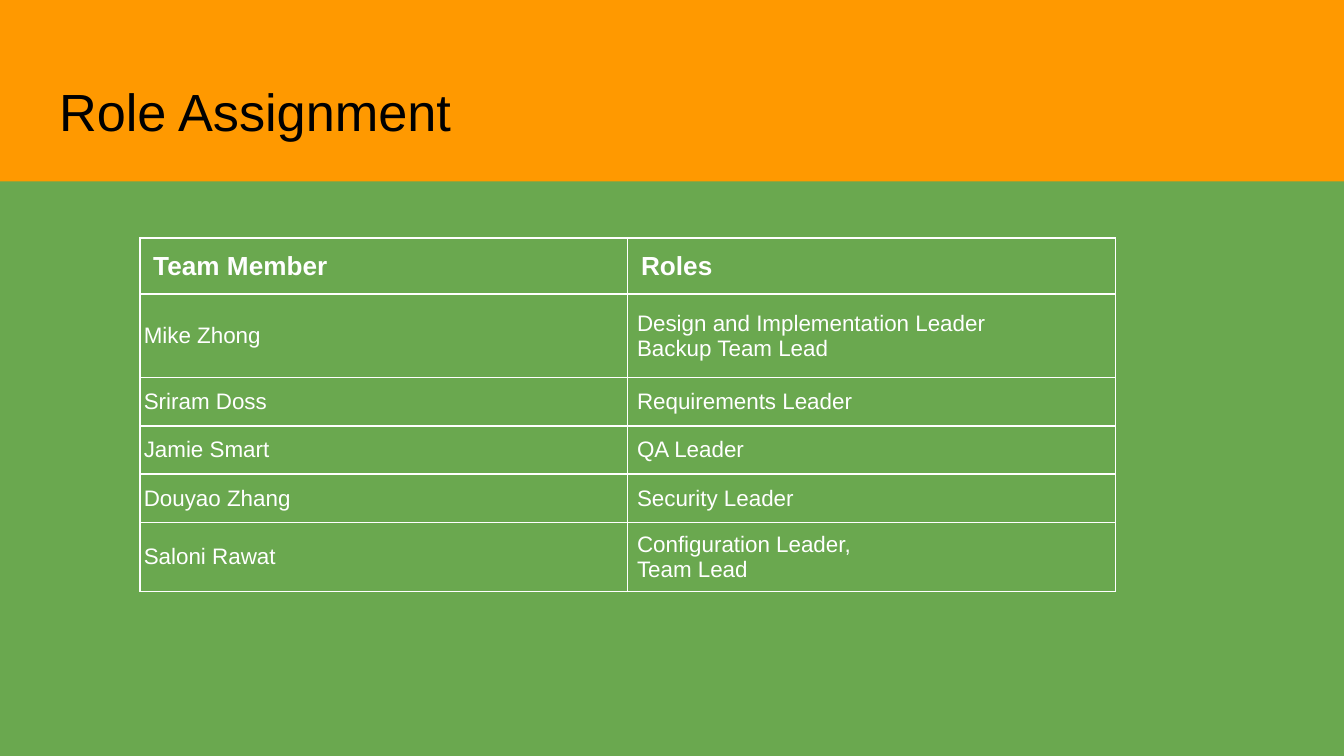
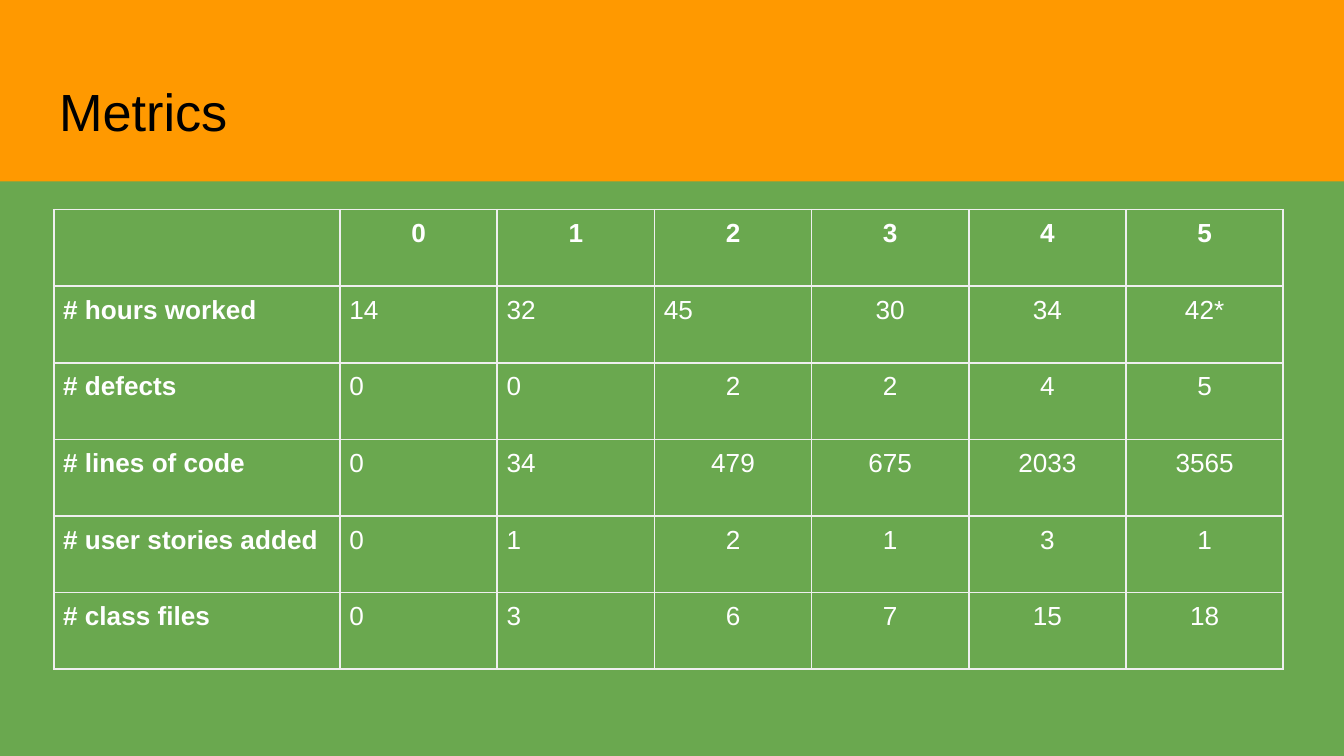
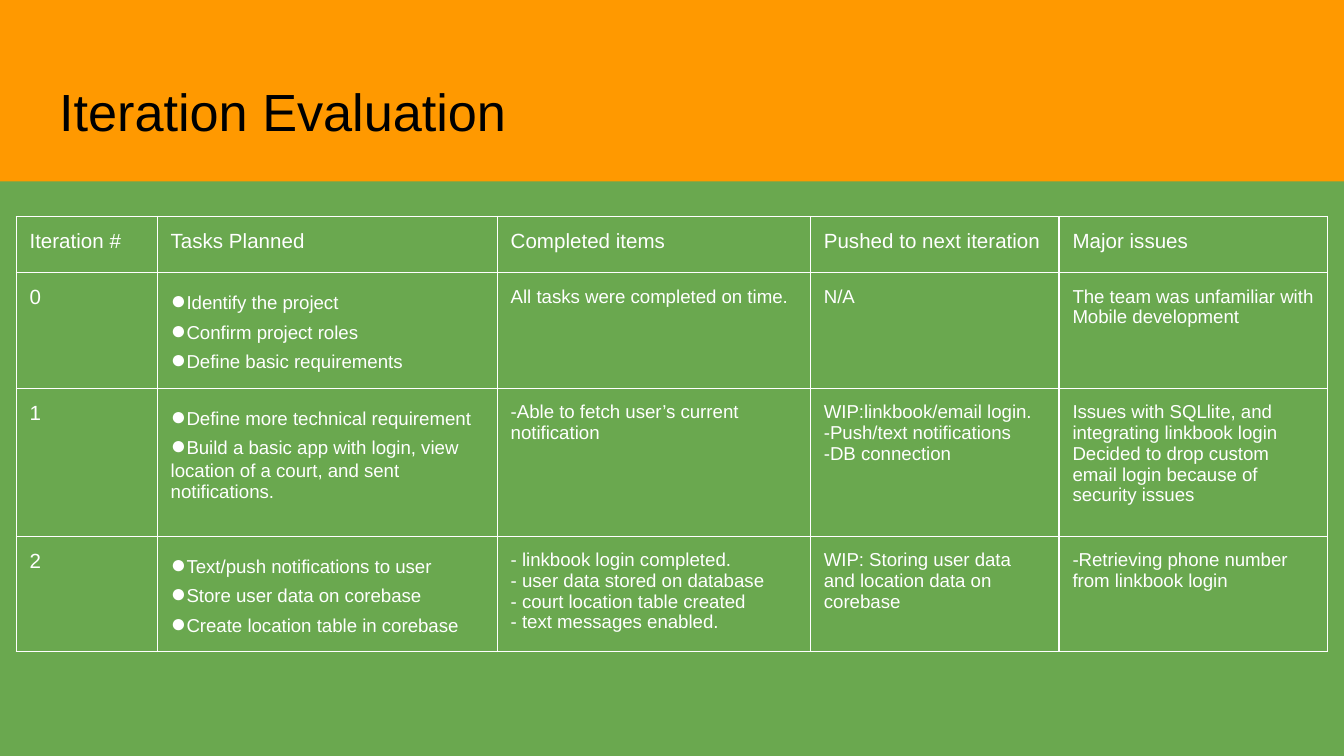
from lxml.etree import SubElement
from pptx import Presentation
from pptx.dml.color import RGBColor
from pptx.enum.shapes import MSO_SHAPE
from pptx.enum.text import MSO_ANCHOR as ANCHOR, MSO_AUTO_SIZE as AUTO, PP_ALIGN as ALIGN
from pptx.oxml.ns import qn
from pptx.util import Inches, Pt

FONT = "Arial"
GREEN, ORANGE, BLACK, WHITE, PALE = "6AA84F", "FF9900", "000000", "FFFFFF", "EFEFEF"
BULLET = "●"

ROLES = [
    ("Team Member", "Roles"),
    ("Mike Zhong", "Design and Implementation Leader\nBackup Team Lead"),
    ("Sriram Doss", "Requirements Leader"),
    ("Jamie Smart", "QA Leader"),
    ("Douyao Zhang", "Security Leader"),
    ("Saloni Rawat", "Configuration Leader,\nTeam Lead"),
]
METRICS = [
    ("", "0", "1", "2", "3", "4", "5"),
    ("# hours worked", "14", "32", "45", "30", "34", "42*"),
    ("# defects", "0", "0", "2", "2", "4", "5"),
    ("# lines of code", "0", "34", "479", "675", "2033", "3565"),
    ("# user stories added", "0", "1", "2", "1", "3", "1"),
    ("# class files", "0", "3", "6", "7", "15", "18"),
]
ITERATIONS = [
    ("Iteration #", "Tasks Planned", "Completed items", "Pushed to next iteration", "Major issues"),
    ("0",
     "●Identify the project\n●Confirm project roles\n●Define basic requirements",
     "All tasks were completed on time.",
     "N/A",
     "The team was unfamiliar with Mobile development"),
    ("1",
     "●Define more technical requirement\n"
     "●Build a basic app with login, view location of a court, and sent notifications.",
     "-Able to fetch user’s current notification",
     "WIP:linkbook/email login.\n-Push/text notifications\n-DB connection",
     "Issues with SQLlite, and integrating linkbook login\n"
     "Decided to drop custom email login because of security issues"),
    ("2",
     "●Text/push notifications to user\n●Store user data on corebase\n"
     "●Create location table in corebase",
     "- linkbook login completed.\n- user data stored on database\n"
     "- court location table created\n- text messages enabled.",
     "WIP: Storing user data and location data on corebase",
     "-Retrieving phone number from linkbook login"),
]


def rgb(color):
    return RGBColor.from_string(color)


def format_run(r, size, color, bold=False):
    r.font.name, r.font.size, r.font.bold = FONT, Pt(size), bold
    r.font.color.rgb = rgb(color)


def set_margins(obj, x, y):
    obj.margin_left = obj.margin_right = Inches(x)
    obj.margin_top = obj.margin_bottom = Inches(y)


def add_titled_slide(prs, title):
    slide = prs.slides.add_slide(prs.slide_layouts[5])
    band = slide.shapes.add_shape(MSO_SHAPE.RECTANGLE, 0, 0, prs.slide_width, Inches(1.35))
    band.shadow.inherit = False
    band.fill.solid()
    band.fill.fore_color.rgb = rgb(ORANGE)
    band.line.fill.background()
    slide.shapes.element.insert(2, band.element)

    sp = slide.shapes.title
    sp.left, sp.top, sp.width, sp.height = map(Inches, (0.34, 0.49, 9.32, 0.63))
    tf = sp.text_frame
    tf.text = title
    tf.word_wrap = True
    tf.auto_size = AUTO.NONE
    tf.vertical_anchor = ANCHOR.TOP
    set_margins(tf, 0.1, 0.1)
    p = tf.paragraphs[0]
    p.alignment = ALIGN.LEFT
    format_run(p.runs[0], 28, BLACK)
    return slide


def set_borders(cell, color, width):
    tc_pr = cell._tc.get_or_add_tcPr()
    for i, side in enumerate("LRTB"):
        ln = SubElement(tc_pr, qn(f"a:ln{side}"), w=str(Pt(width)))
        SubElement(SubElement(ln, qn("a:solidFill")), qn("a:srgbClr"), val=color)
        tc_pr.insert(i, ln)


def add_grid(slide, left, top, widths, heights, rows, border, line_width):
    table = slide.shapes.add_table(
        len(heights), len(widths), Inches(left), Inches(top),
        Inches(sum(widths)), Inches(sum(heights))).table
    table.first_row = table.horz_banding = False
    for column, width in zip(table.columns, widths):
        column.width = Inches(width)
    for row, height in zip(table.rows, heights):
        row.height = Inches(height)
    for i, texts in enumerate(rows):
        for j, text in enumerate(texts):
            cell = table.cell(i, j)
            cell.text_frame.text = text
            cell.fill.background()
            set_borders(cell, border, line_width)
    return table


def format_cell(cell, size, bold=False, align=ALIGN.LEFT, margins=(0.1, 0.1), anchor=ANCHOR.TOP):
    set_margins(cell, *margins)
    cell.vertical_anchor = anchor
    for p in cell.text_frame.paragraphs:
        p.alignment = align
        for r in p.runs:
            format_run(r, size, WHITE, bold)


def enlarge_bullets(cell, bullet_size, size):
    for p in cell.text_frame.paragraphs:
        r = p.runs[0]
        label = r.text.removeprefix(BULLET)
        r.text = BULLET
        format_run(r, bullet_size, WHITE)
        r = p.add_run()
        r.text = label
        format_run(r, size, WHITE)


def add_roles(slide, left, top):
    heights = [0.37, 0.62, 0.36, 0.36, 0.36, 0.46]
    table = add_grid(slide, left, top, [3.63] * 2, heights, ROLES, WHITE, 1)
    for i in range(len(ROLES)):
        for j, margins in enumerate([(0.03, 0), (0.07, 0.07)]):
            if i == 0:
                format_cell(table.cell(i, j), 14, bold=True)
            else:
                format_cell(table.cell(i, j), 12, margins=margins, anchor=ANCHOR.MIDDLE)


def add_metrics(slide, left, top):
    widths = [2.13] + [1.17] * 6
    table = add_grid(slide, left, top, widths, [0.57] * len(METRICS), METRICS, PALE, 1)
    for i in range(len(METRICS)):
        left_columns = {0: 1, 1: 4}.get(i, 3)
        for j in range(len(widths)):
            align = ALIGN.LEFT if j < left_columns else ALIGN.CENTER
            format_cell(table.cell(i, j), 14, i == 0 or j == 0, align, (0.07, 0.07))


def add_iterations(slide, left, top):
    widths = [1.05, 2.53, 2.33, 1.85, 2]
    heights = [0.42, 0.86, 1.1, 0.86]
    table = add_grid(slide, left, top, widths, heights, ITERATIONS, WHITE, 0.75)
    for i in range(len(heights)):
        for j in range(len(widths)):
            format_cell(table.cell(i, j), 11 if i == 0 or j == 0 else 10)
        if i > 0:
            enlarge_bullets(table.cell(i, 1), 14, 10)


def main():
    prs = Presentation()
    prs.slide_width = Inches(10)
    prs.slide_height = prs.slide_width * 9 // 16
    fill = prs.slide_master.background.fill
    fill.solid()
    fill.fore_color.rgb = rgb(GREEN)

    add_roles(add_titled_slide(prs, "Role Assignment"), 1.04, 1.77)
    add_metrics(add_titled_slide(prs, "Metrics"), 0.4, 1.56)
    add_iterations(add_titled_slide(prs, "Iteration Evaluation"), 0.12, 1.61)
    prs.save("out.pptx")


if __name__ == "__main__":
    main()
